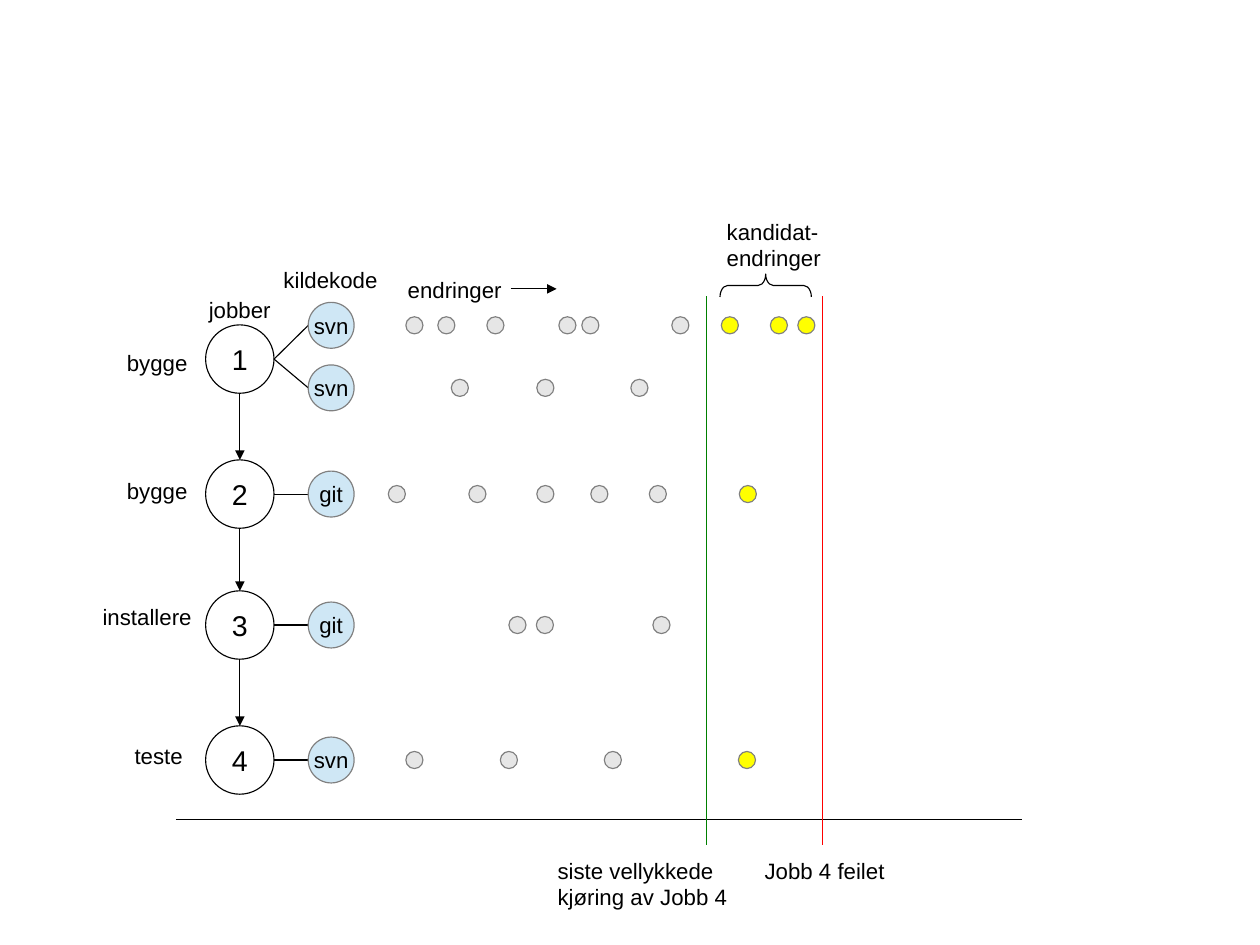
from dataclasses import dataclass

from pptx import Presentation
from pptx.dml.color import RGBColor
from pptx.enum.shapes import MSO_CONNECTOR, MSO_SHAPE
from pptx.enum.text import MSO_ANCHOR, PP_ALIGN
from pptx.oxml.ns import qn
from pptx.util import Cm, Pt
from lxml.etree import SubElement


@dataclass(frozen=True)
class Theme:
    font: str = "Arial"
    ink: RGBColor = RGBColor(0x00, 0x00, 0x00)
    job: RGBColor = RGBColor(0xFF, 0xFF, 0xFF)
    source: RGBColor = RGBColor(0xCF, 0xE7, 0xF5)
    change: RGBColor = RGBColor(0xE6, 0xE6, 0xE6)
    candidate: RGBColor = RGBColor(0xFF, 0xFF, 0x00)
    outline: RGBColor = RGBColor(0x80, 0x80, 0x80)
    success: RGBColor = RGBColor(0x00, 0x80, 0x00)
    failure: RGBColor = RGBColor(0xFF, 0x00, 0x00)
    label_size: Pt = Pt(14)
    number_size: Pt = Pt(18)
    line: Pt = Pt(0.71)
    hairline: Pt = Pt(0)


THEME = Theme()

# All lengths below are centimetres.
JOB_X, JOB_SIZE = 5.33, 1.52
SOURCE_X, SOURCE_SIZE = 7.36, 1.02
CHANGE_SIZE = 0.38
SUCCESS_X, FAILURE_X = 15.7, 18.28
RUN_TOP, RUN_BOTTOM = 6.58, 18.77

JOB_ROWS = [7.98, 10.98, 13.89, 16.89]

# Job index, row centre, source kind, changes, candidate changes
SOURCES = [
    (0, 7.23, "svn", [9.21, 9.92, 11.01, 12.61, 13.12, 15.12], [16.22, 17.31, 17.92]),
    (0, 8.62, "svn", [10.22, 12.12, 14.21], []),
    (1, 10.98, "git", [8.82, 10.61, 12.12, 13.32, 14.62], [16.62]),
    (2, 13.89, "git", [11.5, 12.11, 14.7], []),
    (3, 16.89, "svn", [9.21, 11.31, 13.62], [16.6]),
]

# Left, top, width, lines
LABELS = [
    (15.9, 4.72, 2.75, ["kandidat-", "endringer"]),
    (8.81, 6.02, 2.75, ["endringer"]),
    (6.05, 5.79, 2.75, ["kildekode"]),
    (4.39, 6.47, 2.05, ["jobber"]),
    (2.57, 7.64, 2.05, ["bygge"]),
    (2.57, 10.49, 2.05, ["bygge"]),
    (2.03, 13.28, 2.65, ["installere"]),
    (2.74, 16.38, 1.85, ["teste"]),
    (12.14, 18.92, 4.5, ["siste vellykkede", "kjøring av Jobb 4"]),
    (16.74, 18.92, 3.4, ["Jobb 4 feilet"]),
]


def write(para, text, size):
    span = para.add_run()
    span.text = text
    span.font.name = THEME.font
    span.font.size = size
    span.font.color.rgb = THEME.ink


def add_circle(page, x, y, size, fill, outline=THEME.outline, width=THEME.hairline):
    """Draw a circle centred on x, y."""
    circle = page.shapes.add_shape(
        MSO_SHAPE.OVAL, Cm(x - size / 2), Cm(y - size / 2), Cm(size), Cm(size))
    circle.shadow.inherit = False
    circle.fill.solid()
    circle.fill.fore_color.rgb = fill
    circle.line.color.rgb = outline
    circle.line.width = width
    return circle


def add_caption(circle, text, size):
    frame = circle.text_frame
    frame.word_wrap = False
    frame.vertical_anchor = MSO_ANCHOR.MIDDLE
    para = frame.paragraphs[0]
    para.alignment = PP_ALIGN.CENTER
    write(para, text, size)


def add_line(page, start, end, color=THEME.ink, arrow=False):
    (x1, y1), (x2, y2) = start, end
    line = page.shapes.add_connector(
        MSO_CONNECTOR.STRAIGHT, Cm(x1), Cm(y1), Cm(x2), Cm(y2))
    line.line.color.rgb = color
    line.line.width = THEME.line
    properties = line._element.spPr
    if arrow:
        SubElement(properties.find(qn("a:ln")), qn("a:tailEnd"), type="triangle")
    SubElement(properties, qn("a:effectLst"))


def add_label(page, left, top, width, lines):
    box = page.shapes.add_textbox(Cm(left), Cm(top), Cm(width), Cm(0.25 + 0.56 * len(lines)))
    frame = box.text_frame
    frame.word_wrap = True
    for index, text in enumerate(lines):
        para = frame.add_paragraph() if index else frame.paragraphs[0]
        write(para, text, THEME.label_size)


def add_candidate_brace(page):
    brace = page.shapes.add_shape(
        MSO_SHAPE.LEFT_BRACE, Cm(16.76), Cm(5.33), Cm(0.51), Cm(2.03))
    brace.rotation = 90
    brace.adjustments[0] = 0.33
    brace.shadow.inherit = False
    brace.fill.background()
    brace.line.color.rgb = THEME.ink
    brace.line.width = THEME.line


def add_jobs(page):
    radius = JOB_SIZE / 2
    for number, y in enumerate(JOB_ROWS, start=1):
        job = add_circle(page, JOB_X, y, JOB_SIZE, THEME.job, THEME.ink, THEME.line)
        add_caption(job, str(number), THEME.number_size)
    for upper, lower in zip(JOB_ROWS, JOB_ROWS[1:]):
        add_line(page, (JOB_X, upper + radius), (JOB_X, lower - radius), arrow=True)


def add_source(page, job, y, kind, changes, candidates):
    """Draw a source, its link to the job and its row of changes."""
    add_line(page, (JOB_X + JOB_SIZE / 2, JOB_ROWS[job]), (SOURCE_X - SOURCE_SIZE / 2, y))
    source = add_circle(page, SOURCE_X, y, SOURCE_SIZE, THEME.source)
    add_caption(source, kind, THEME.label_size)
    for centres, fill in ((changes, THEME.change), (candidates, THEME.candidate)):
        for x in centres:
            add_circle(page, x, y, CHANGE_SIZE, fill)


def main():
    deck = Presentation()
    deck.slide_width, deck.slide_height = Cm(28), Cm(21)
    page = deck.slides.add_slide(deck.slide_layouts[6])

    add_jobs(page)
    for source in SOURCES:
        add_source(page, *source)

    add_line(page, (3.91, 18.21), (22.71, 18.21))
    for x, color in ((SUCCESS_X, THEME.success), (FAILURE_X, THEME.failure)):
        add_line(page, (x, RUN_TOP), (x, RUN_BOTTOM), color)
    add_line(page, (11.35, 6.42), (12.37, 6.42), arrow=True)

    add_candidate_brace(page)
    for label in LABELS:
        add_label(page, *label)
    deck.save("out.pptx")


if __name__ == "__main__":
    main()
